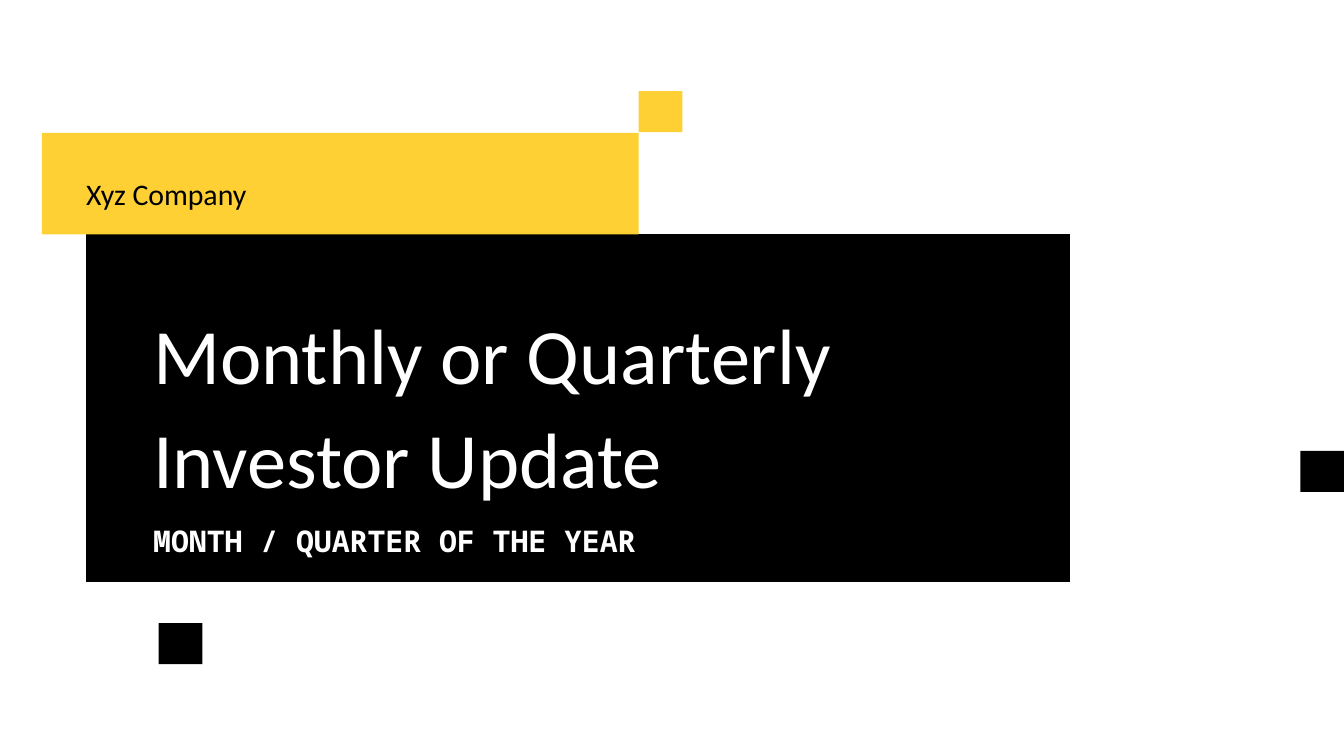
from pptx import Presentation
from pptx.dml.color import RGBColor
from pptx.enum import shapes, text
from pptx.util import Pt

YELLOW, BLACK, WHITE = "FFD034", "000000", "FFFFFF"
SQUARE = (23.4, 22)

# Content: blocks as (left, top, width, height, colour), back to front
BLOCKS = [
    (342.2, 48.9, *SQUARE, YELLOW),
    (46.1, 125.4, 527.1, 186.4, BLACK),
    (22.5, 71.2, 319.7, 54.4, YELLOW),
    (85, 333.8, *SQUARE, BLACK),
    (696.6, 241.5, *SQUARE, BLACK),
]

COMPANY = dict(words="Xyz Company", box=(46.1, 86.4, 274.3, 19.4), size=16,
               color=BLACK, spacing=1.4, align=text.PP_ALIGN.JUSTIFY)
TITLE = dict(words="Monthly or Quarterly Investor Update",
             box=(82.1, 159.1, 491, 106.6), size=42, color=WHITE, spacing=1.1)
PERIOD = dict(words="MONTH / QUARTER OF THE YEAR", box=(82.1, 272.2, 454.3, 20.9),
              size=16, color=WHITE, spacing=1.4, font="Noto Sans Mono", bold=True)


def rgb(value):
    return RGBColor.from_string(value)


def place(sp, box):
    sp.left, sp.top, sp.width, sp.height = map(Pt, box)


def write(sp, words, box, size, color, spacing, font="Calibri", bold=False,
          align=text.PP_ALIGN.LEFT):
    place(sp, box)
    tf = sp.text_frame
    tf.margin_left = tf.margin_top = tf.margin_right = tf.margin_bottom = 0
    tf.word_wrap = True
    tf.auto_size = text.MSO_AUTO_SIZE.SHAPE_TO_FIT_TEXT
    tf.vertical_anchor = text.MSO_ANCHOR.TOP
    p = tf.paragraphs[0]
    p.alignment, p.line_spacing = align, spacing
    r = p.add_run()
    r.text = words
    r.font.name, r.font.size, r.font.bold = font, Pt(size), bold
    r.font.color.rgb = rgb(color)


prs = Presentation()
prs.slide_width, prs.slide_height = Pt(720), Pt(405)
s = prs.slides.add_slide(prs.slide_layouts[5])

# Coloured blocks
for *box, color in BLOCKS:
    sp = s.shapes.add_shape(shapes.MSO_SHAPE.RECTANGLE, *map(Pt, box))
    sp.shadow.inherit = False
    sp.fill.solid()
    sp.fill.fore_color.rgb = rgb(color)
    sp.line.fill.background()

# Title, brought in front of the black block
title = s.shapes.title
title.element.getparent().append(title.element)
write(title, **TITLE)

# Company and period
for item in (COMPANY, PERIOD):
    write(s.shapes.add_textbox(0, 0, 0, 0), **item)

prs.save("out.pptx")
